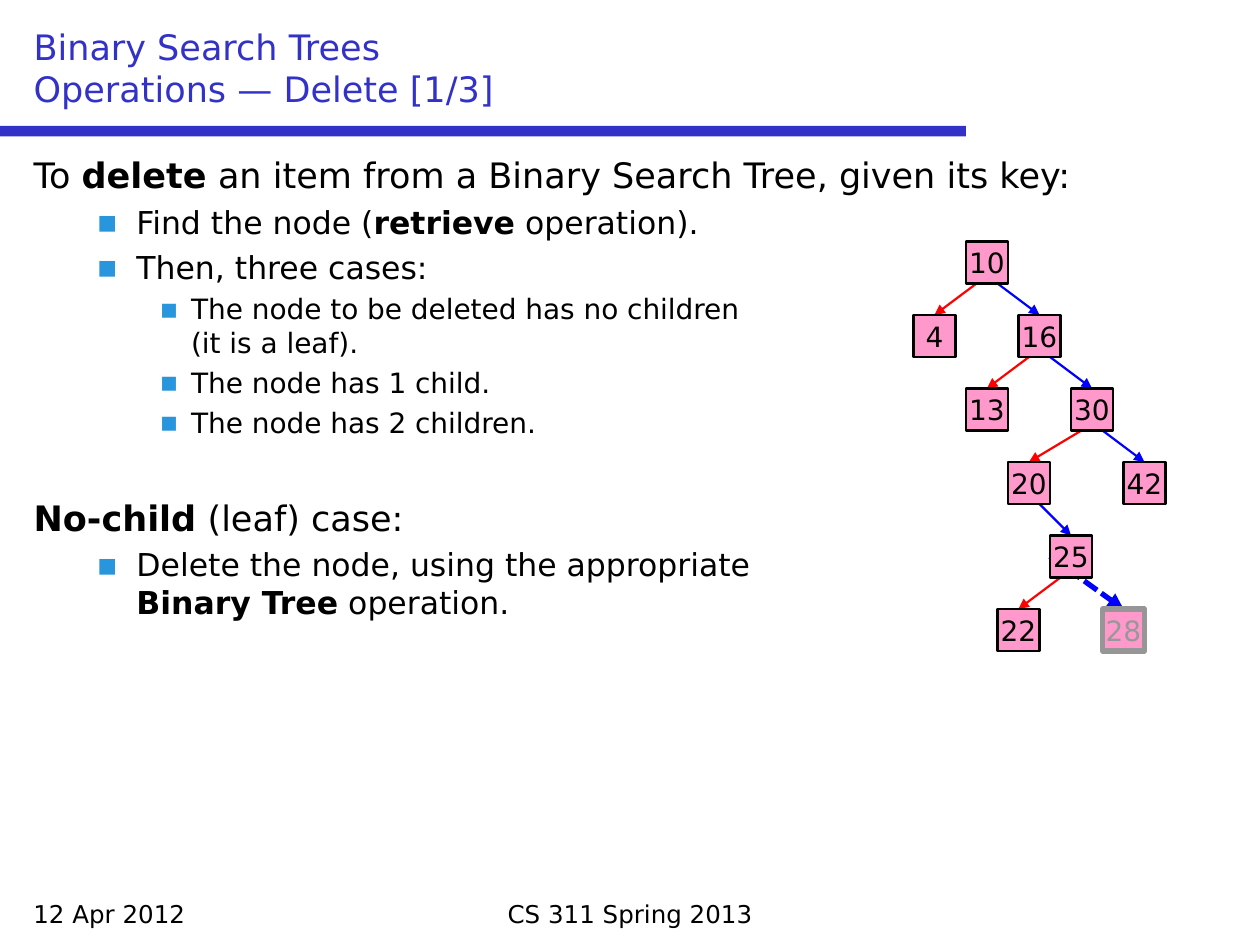
from lxml import etree
from pptx import Presentation
from pptx.dml.color import RGBColor
from pptx.enum.dml import MSO_LINE
from pptx.enum.shapes import MSO_CONNECTOR, MSO_SHAPE
from pptx.enum.text import MSO_ANCHOR, MSO_AUTO_SIZE, PP_ALIGN
from pptx.oxml.ns import qn
from pptx.util import Pt

PX = 7620  # EMU per px, 120 px to the inch
FONT = "DejaVu Sans"
COLORS = {
    "text": "000000", "accent": "3232C8", "bullet": "2896DC",
    "node": "FF99CC", "left": "FF0000", "right": "0000FF",
    "deleted_line": "969696", "deleted_text": "989898",
}
LEFT, CENTER = PP_ALIGN.LEFT, PP_ALIGN.CENTER
TOP, MIDDLE, BOTTOM = MSO_ANCHOR.TOP, MSO_ANCHOR.MIDDLE, MSO_ANCHOR.BOTTOM
RECTANGLE, STRAIGHT = MSO_SHAPE.RECTANGLE, MSO_CONNECTOR.STRAIGHT
DOTTED, NO_AUTOFIT = MSO_LINE.SQUARE_DOT, MSO_AUTO_SIZE.NONE

# Outline levels: font size in points, margin and first-line indent in px
LEVELS = [(20, 45, -45), (18, 98, -38), (16, 150, -30)]
GAP = 0.23      # space before a paragraph, as a share of its font size
SECTION = 32.6  # space before a new section, in points

# Level and runs of each paragraph; every second run is bold
OUTLINE = [
    (0, ["To ", "delete", " an item from a Binary Search Tree, given its key:"]),
    (1, ["Find the node (", "retrieve", " operation)."]),
    (1, ["Then, three cases:"]),
    (2, ["The node to be deleted has no children\v(it is a leaf)."]),
    (2, ["The node has 1 child."]),
    (2, ["The node has 2 children."]),
    (0, ["", "No-child", " (leaf) case:"]),
    (1, ["Delete the node, using the appropriate\v", "Binary Tree", " operation."]),
]

# Tree: key -> (left in px, row)
NODES = {
    10: (920, 0), 4: (870, 1), 16: (970, 1), 13: (920, 2), 30: (1020, 2),
    20: (960, 3), 42: (1070, 3), 25: (1000, 4), 22: (950, 5), 28: (1050, 5),
}
EDGES = [(10, 4), (10, 16), (16, 13), (16, 30), (30, 20), (30, 42),
         (20, 25), (25, 22), (25, 28)]
DELETED = 28
TREE_TOP, ROW_STEP, NODE_SIZE = 230, 70, 40


def color(name):
    return RGBColor.from_string(COLORS[name])


def px(*values):
    return [value * PX for value in values]


def place(shape, left, top, width, height):
    shape.left, shape.top, shape.width, shape.height = px(left, top, width, height)


def set_font(para, size, name="text"):
    para.font.name = FONT
    para.font.size = Pt(size)
    para.font.color.rgb = color(name)


def fill_text(frame, text, size, name="text", align=LEFT, anchor=TOP, wrap=True):
    frame.word_wrap = wrap
    frame.vertical_anchor = anchor
    para = frame.paragraphs[0]
    para.text = text
    para.alignment = align
    set_font(para, size, name)


def set_bullet(para, margin, indent, bulleted):
    properties = para._p.get_or_add_pPr()
    properties.set("marL", str(margin * PX))
    properties.set("indent", str(indent * PX))
    if not bulleted:
        etree.SubElement(properties, qn("a:buNone"))
        return
    tint = etree.SubElement(properties, qn("a:buClr"))
    etree.SubElement(tint, qn("a:srgbClr"), val=COLORS["bullet"])
    etree.SubElement(properties, qn("a:buFont"), typeface=FONT)
    etree.SubElement(properties, qn("a:buChar"), char="▪")


def add_outline(body):
    place(body, 20, 140, 1160, 700)
    frame = body.text_frame
    frame.auto_size = NO_AUTOFIT
    for number, (level, spans) in enumerate(OUTLINE):
        para = frame.add_paragraph() if number else frame.paragraphs[0]
        size, margin, indent = LEVELS[level]
        para.level = level
        gap = SECTION if level == 0 else size * GAP
        para.space_before = Pt(gap if number else 0)
        set_bullet(para, margin, indent, level > 0)
        set_font(para, size)
        for position, text in enumerate(spans):
            if text:
                first, *rest = text.split("\v")
                span = para.add_run()
                span.text = first
                span.font.bold = position % 2 == 1
                for line in rest:
                    para.add_line_break()
                    if line:
                        para.add_run().text = line


def add_rectangle(page, left, top, width, height, fill):
    box = page.shapes.add_shape(RECTANGLE, *px(left, top, width, height))
    box.shadow.inherit = False
    box.fill.solid()
    box.fill.fore_color.rgb = color(fill)
    box.line.fill.background()
    return box


def add_footer(page, text, left, width, align):
    box = page.shapes.add_textbox(*px(left, 850, width, 40))
    fill_text(box.text_frame, text, 14, align=align)


def node_corner(key):
    left, row = NODES[key]
    return left, TREE_TOP + row * ROW_STEP


def add_edge(page, parent, child):
    left, top = node_corner(parent)
    end_left, end_top = node_corner(child)
    side = "left" if end_left < left else "right"
    deleted = child == DELETED
    if deleted:  # starts behind the parent box
        start = left, top + 20
    else:
        start = left + (10 if side == "left" else 30), top + NODE_SIZE
    edge = page.shapes.add_connector(
        STRAIGHT, *px(*start, end_left + NODE_SIZE // 2, end_top))
    edge.line.color.rgb = color(side)
    edge.line.width = Pt(3 if deleted else 1.25)
    if deleted:
        edge.line.dash_style = DOTTED
    etree.SubElement(edge.line._get_or_add_ln(), qn("a:tailEnd"), type="triangle")
    etree.SubElement(edge._element.spPr, qn("a:effectLst"))


def add_node(page, key):
    deleted = key == DELETED
    box = add_rectangle(page, *node_corner(key), NODE_SIZE, NODE_SIZE, "node")
    box.line.color.rgb = color("deleted_line" if deleted else "text")
    box.line.width = Pt(3 if deleted else 1.25)
    fill_text(box.text_frame, str(key), 16, "deleted_text" if deleted else "text",
              CENTER, MIDDLE, wrap=False)


def main():
    deck = Presentation()
    deck.slide_width, deck.slide_height = px(1200, 900)
    page = deck.slides.add_slide(deck.slide_layouts[1])

    # Title, rule and footers
    title = page.shapes.title
    place(title, 20, 20, 1160, 90)
    title.text_frame.auto_size = NO_AUTOFIT
    fill_text(title.text_frame, "Binary Search Trees\vOperations — Delete [1/3]",
              20, "accent", anchor=BOTTOM)
    add_rectangle(page, 0, 120, 920, 10, "accent")
    add_footer(page, "12 Apr 2012", 20, 280, LEFT)
    add_footer(page, "CS 311 Spring 2013", 310, 580, CENTER)

    # Outline
    add_outline(page.placeholders[1])

    # Tree, edges behind nodes
    for parent, child in EDGES:
        add_edge(page, parent, child)
    for key in NODES:
        add_node(page, key)

    deck.save("out.pptx")


if __name__ == "__main__":
    main()
